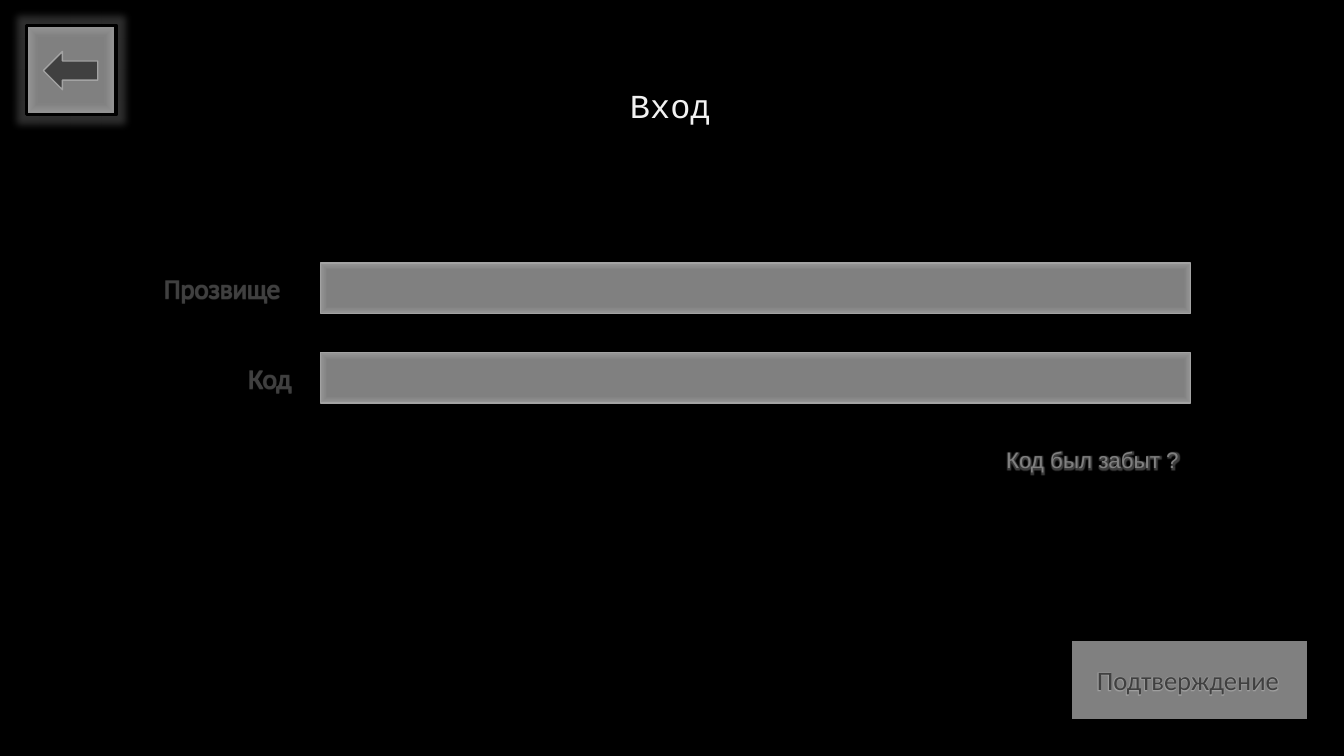
"""Builds a dark sign-in screen with two fields and two buttons."""
from lxml import etree
from pptx import Presentation
from pptx.dml.color import RGBColor
from pptx.enum import shapes, text
from pptx.oxml import parse_xml
from pptx.oxml.ns import qn
from pptx.util import Inches, Pt

COLORS = {
    "back": "000000", "title": "F2F2F2", "white": "FFFFFF", "dark": "404040",
    "gray": "808080", "rim": "969696", "edge": "A3A3A3", "pale": "D9D9D9",
    "halo": "2E2E2E",
}
NS = "http://schemas.openxmlformats.org/drawingml/2006/main"

TITLE = ("Вход", (6.15, 0.79, 1.03, 0.5), 24, "Courier New", "title", ("white", 0.75), None)
HINT = ("Код был забыт ?", (9.88, 4.38, 1.92, 0.37), 16, "Arial", "gray",
        ("edge", 1), ("dark", 5))
CONFIRM = ("Подтверждение", (10.78, 6.54, 2.05, 0.42), 19, "Calibri", "dark",
           ("gray", 0.01), ("edge", 2))
FIELDS = [("Прозвище", 1.49), ("Код", 0.65)]
FIELD_LEFT, FIELD_TOP, FIELD_W, FIELD_H, PITCH = 3.18, 2.61, 8.63, 0.5, 0.89
LABEL_RIGHT, LABEL_DROP, LABEL_H = 3.02, 0.04, 0.42
CONFIRM_BOX = (10.62, 6.34, 2.36, 0.81)
BACK_BOX = (0.26, 0.25, 0.89, 0.89)
ARROW_BOX = (0.43, 0.51, 0.54, 0.38)


def rgb(name):
    return RGBColor.from_string(COLORS[name])


def color_fill(name):
    return f'<a:solidFill><a:srgbClr val="{COLORS[name]}"/></a:solidFill>'


def glow(color, size):
    return parse_xml(
        f'<a:effectLst xmlns:a="{NS}"><a:glow rad="{Pt(size)}">'
        f'<a:srgbClr val="{COLORS[color]}"/></a:glow></a:effectLst>')


def add_text(parent, words, box, size, font, color, outline, halo):
    sp = parent.add_textbox(*map(Inches, box))
    tf = sp.text_frame
    tf.text = words
    tf.word_wrap = False
    tf.auto_size = text.MSO_AUTO_SIZE.SHAPE_TO_FIT_TEXT
    r = tf.paragraphs[0].runs[0]
    r.font.size, r.font.name = Pt(size), font
    r.font.color.rgb = rgb(color)
    props = r.font.fill._xPr
    props.insert(0, parse_xml(
        f'<a:ln xmlns:a="{NS}" w="{Pt(outline[1])}">{color_fill(outline[0])}</a:ln>'))
    if halo:
        props.find(qn("a:solidFill")).addnext(glow(*halo))


def add_box(parent, kind, box, fill, line, width):
    sp = parent.add_shape(kind, *map(Inches, box))
    sp.shadow.inherit = False
    sp.fill.solid()
    sp.fill.fore_color.rgb = rgb(fill)
    sp.line.color.rgb = rgb(line)
    sp.line.width = Pt(width)
    return sp


def shade_rim(sp):
    props = sp._element.spPr
    stops = "".join(
        f'<a:gs pos="{pos}"><a:srgbClr val="{COLORS[name]}"/></a:gs>'
        for pos, name in ((72000, "gray"), (100000, "rim")))
    props.replace(props.find(qn("a:solidFill")), parse_xml(
        f'<a:gradFill xmlns:a="{NS}"><a:gsLst>{stops}</a:gsLst><a:path path="shape">'
        '<a:fillToRect l="50000" t="50000" r="50000" b="50000"/></a:path></a:gradFill>'))


def main():
    prs = Presentation()
    prs.slide_width, prs.slide_height = Inches(13.33), Inches(7.5)
    slide = prs.slides.add_slide(prs.slide_layouts[6])
    slide.background.fill.solid()
    slide.background.fill.fore_color.rgb = rgb("back")
    kinds = shapes.MSO_SHAPE

    add_text(slide.shapes, *TITLE)
    for i, (label, width) in enumerate(FIELDS):
        top = FIELD_TOP + i * PITCH
        add_text(slide.shapes, label,
                 (LABEL_RIGHT - width, top + LABEL_DROP, width, LABEL_H),
                 19, "Calibri", "dark", ("pale", 0.01), ("dark", 2))
        shade_rim(add_box(slide.shapes, kinds.RECTANGLE,
                          (FIELD_LEFT, top, FIELD_W, FIELD_H), "gray", "edge", 1))
    add_text(slide.shapes, *HINT)

    confirm = slide.shapes.add_group_shape().shapes
    add_box(confirm, kinds.RECTANGLE, CONFIRM_BOX, "gray", "back", 2.25)
    add_text(confirm, *CONFIRM)

    back = slide.shapes.add_group_shape().shapes
    button = add_box(back, kinds.ROUNDED_RECTANGLE, BACK_BOX, "gray", "back", 2.25)
    button.adjustments[0] = 0
    shade_rim(button)
    props = button._element.spPr
    props.replace(props.find(qn("a:effectLst")), glow("halo", 11))
    arrow = add_box(back, kinds.RIGHT_ARROW, ARROW_BOX, "dark", "edge", 1)
    arrow._element.spPr.find(qn("a:xfrm")).set("flipH", "1")

    prs.save("out.pptx")


if __name__ == "__main__":
    main()
